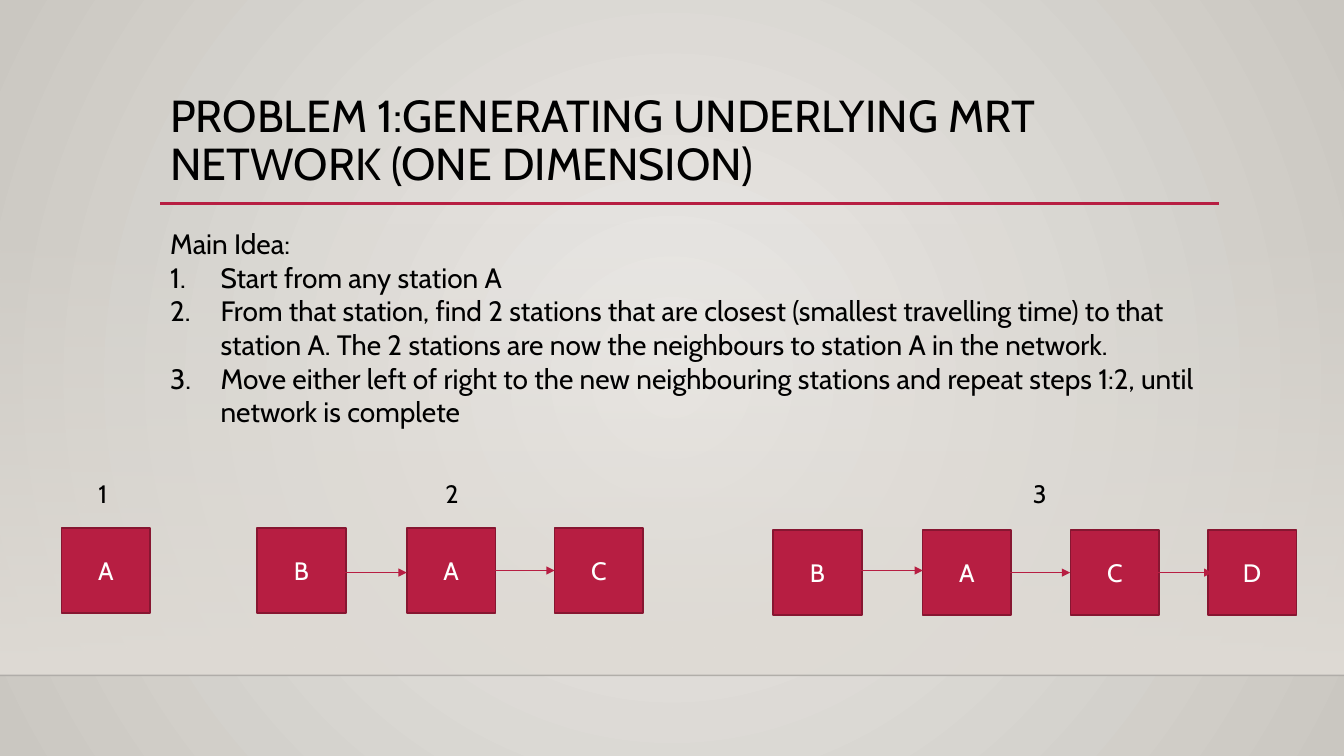
from lxml.etree import SubElement
from pptx import Presentation
from pptx.dml.color import RGBColor
from pptx.enum.shapes import MSO_CONNECTOR, MSO_SHAPE
from pptx.enum.text import MSO_ANCHOR, MSO_AUTO_SIZE, PP_ALIGN
from pptx.oxml.ns import qn
from pptx.util import Pt

FONT = "Cabin"
CRIMSON = "B71E42"
BLACK = "000000"
BOX_WIDTH, BOX_HEIGHT = 63.4, 60.5
ARROW_LENGTH = 51.5

TITLE = "PROBLEM 1:GENERATING UNDERLYING MRT NETWORK (ONE DIMENSION)"
INTRO = "Main Idea:"
STEPS = [
    "Start from any station A",
    "From that station, find 2 stations that are closest (smallest travelling "
    "time) to that station A. The 2 stations are now the neighbours to station "
    "A in the network.",
    "Move either left of right to the new neighbouring stations and repeat "
    "steps 1:2, until network is complete",
]
# Stage number, its left edge, top of the boxes, stations with their left edges
STAGES = [
    ("1", 63.2, 377.3, [("A", 43.9)]),
    ("2", 311, 377.3, [("B", 183.6), ("A", 290.6), ("C", 396)]),
    ("3", 730.8, 378.7, [("B", 552.2), ("A", 659), ("C", 764.6), ("D", 862.6)]),
]
# Left end and height of the arrows between stations
ARROWS = [(239, 409), (344.7, 407.5), (607.7, 407.5), (712.9, 409), (814.5, 409)]


def color(hex_value):
    return RGBColor.from_string(hex_value)


def style_text(paragraph, size, hex_value):
    for run in paragraph.runs:
        run.font.name = FONT
        run.font.size = Pt(size)
        run.font.color.rgb = color(hex_value)


def set_gradient(fill, first, last):
    fill.gradient()
    for stop, position, hex_value in zip(fill.gradient_stops, (0, 1), (first, last)):
        stop.position = position
        stop.color.rgb = color(hex_value)


def add_alpha(element, percent):
    """Make the first colour inside the element see-through."""
    first_color = next(element.iter(qn("a:srgbClr")))
    SubElement(first_color, qn("a:alpha"), val=str(percent * 1000))


def add_background(slide):
    set_gradient(slide.background.fill, "ECEAE7", "CAC7C1")
    gradient = next(slide.element.iter(qn("a:gradFill")))
    gradient.remove(gradient.find(qn("a:lin")))
    circle = SubElement(gradient, qn("a:path"), path="circle")
    SubElement(circle, qn("a:fillToRect"), l="50000", t="50000", r="50000", b="50000")


def add_wall(slide):
    wall = slide.shapes.add_shape(MSO_SHAPE.RECTANGLE, 0, Pt(159), Pt(960), Pt(323.4))
    wall.shadow.inherit = False
    wall.line.fill.background()
    set_gradient(wall.fill, "DFDBD5", "DFDBD5")
    wall.fill.gradient_angle = 270
    add_alpha(wall.fill._xPr, 0)


def add_line(slide, left, right, y, hex_value, width):
    line = slide.shapes.add_connector(
        MSO_CONNECTOR.STRAIGHT, Pt(left), Pt(y), Pt(right), Pt(y))
    line.line.color.rgb = color(hex_value)
    line.line.width = Pt(width)
    SubElement(line._element.spPr, qn("a:effectLst"))
    return line


def add_arrow(slide, left, y):
    arrow = add_line(slide, left, left + ARROW_LENGTH, y, CRIMSON, 0.75)
    SubElement(arrow.line._get_or_add_ln(), qn("a:tailEnd"), type="triangle")


def add_text(slide, left, top, width, height, lines, size, wrap=True):
    box = slide.shapes.add_textbox(Pt(left), Pt(top), Pt(width), Pt(height))
    frame = box.text_frame
    frame.word_wrap = wrap
    frame.text = "\n".join(lines)
    for paragraph in frame.paragraphs:
        style_text(paragraph, size, BLACK)
    return frame


def number_paragraph(paragraph):
    properties = paragraph._p.get_or_add_pPr()
    properties.set("marL", str(Pt(36)))
    properties.set("indent", str(-Pt(36)))
    SubElement(properties, qn("a:buFont"), typeface=FONT)
    SubElement(properties, qn("a:buAutoNum"), type="arabicPeriod")


def add_station(slide, name, left, top):
    station = slide.shapes.add_shape(
        MSO_SHAPE.RECTANGLE, Pt(left), Pt(top), Pt(BOX_WIDTH), Pt(BOX_HEIGHT))
    station.shadow.inherit = False
    station.fill.solid()
    station.fill.fore_color.rgb = color(CRIMSON)
    station.line.color.rgb = color("871631")
    station.line.width = Pt(1.25)
    frame = station.text_frame
    frame.text = name
    frame.vertical_anchor = MSO_ANCHOR.MIDDLE
    frame.paragraphs[0].alignment = PP_ALIGN.CENTER
    style_text(frame.paragraphs[0], 18, "FFFFFF")


def main():
    prs = Presentation()
    prs.slide_width, prs.slide_height = Pt(960), Pt(540)
    slide = prs.slides.add_slide(prs.slide_layouts[6])

    # Backdrop: wall, floor edge and rule under the title
    add_background(slide)
    add_wall(slide)
    floor_edge = add_line(slide, 0, 960, 482.4, "000001", 1)
    add_alpha(floor_edge._element.spPr, 20)
    add_line(slide, 114.5, 871, 145.4, CRIMSON, 2.5)

    # Title and numbered steps
    title = add_text(slide, 114.5, 63.4, 756, 82.8, [TITLE], 32)
    title.paragraphs[0].line_spacing = 0.9
    idea = add_text(slide, 114.5, 158.4, 756, 271.4, [INTRO] + STEPS, 20)
    for step in idea.paragraphs[1:]:
        number_paragraph(step)

    # Stages of the growing network
    for number, number_left, top, stations in STAGES:
        for name, left in stations:
            add_station(slide, name, left, top)
        label = add_text(slide, number_left, 338.4, 23.8, 28.8, [number], 18, wrap=False)
        label.auto_size = MSO_AUTO_SIZE.SHAPE_TO_FIT_TEXT
    for left, y in ARROWS:
        add_arrow(slide, left, y)

    prs.save("out.pptx")


if __name__ == "__main__":
    main()
